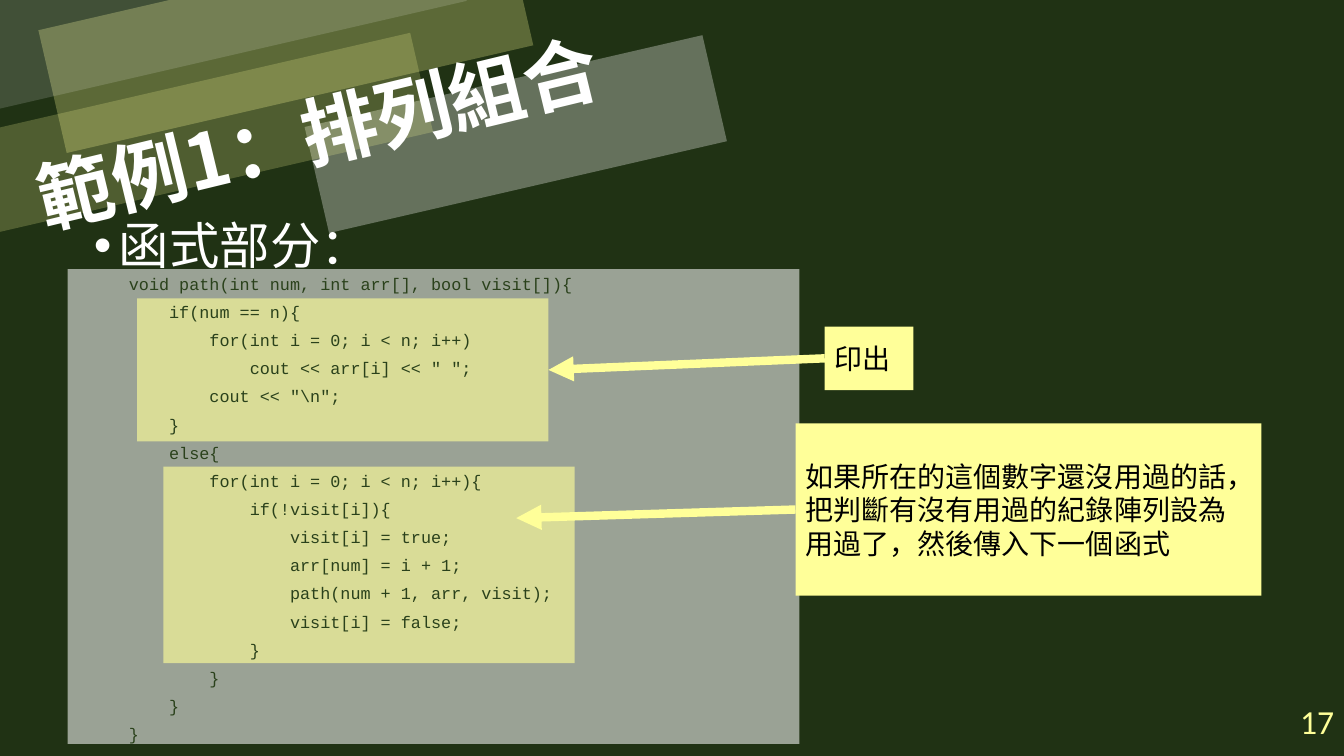
from lxml.etree import SubElement
from pptx import Presentation
from pptx.dml.color import RGBColor
from pptx.enum.shapes import MSO_CONNECTOR, MSO_SHAPE
from pptx.enum.text import MSO_ANCHOR, PP_ALIGN
from pptx.oxml.ns import qn
from pptx.util import Inches, Pt

COLORS = {
    "back": "203214",
    "white": "FFFFFF",
    "yellow": "FFFF99",
    "black": "000000",
    "code": "2A411B",
}
SANS = "Noto Sans CJK SC"
MONO = "Courier New"

BANDS = [
    ((0.46, -0.25, 4.75, 1.25), "yellow", 27),
    ((3.09, 0.79, 4.05, 1.08), "white", 31),
    ((-0.28, 0.82, 4.52, 1.01), "yellow", 21),
    ((-0.56, -0.86, 5.09, 1.46), "white", 15),
]
CODE = r"""void path(int num, int arr[], bool visit[]){
    if(num == n){
        for(int i = 0; i < n; i++)
            cout << arr[i] << " ";
        cout << "\n";
    }
    else{
        for(int i = 0; i < n; i++){
            if(!visit[i]){
                visit[i] = true;
                arr[num] = i + 1;
                path(num + 1, arr, visit);
                visit[i] = false;
            }
        }
    }
}"""
NOTE = "如果所在的這個數字還沒用過的話，把判斷有沒有用過的紀錄陣列設為用過了，然後傳入下一個函式"


def color(name):
    return RGBColor.from_string(COLORS[name])


def place(shape, box):
    shape.left, shape.top, shape.width, shape.height = map(Inches, box)


def write(shape, text, size, tint, face=SANS, bold=False, align=PP_ALIGN.LEFT,
          anchor=MSO_ANCHOR.TOP, line=None, before=None):
    frame = shape.text_frame
    frame.word_wrap = True
    frame.vertical_anchor = anchor
    frame.text = text
    for para in frame.paragraphs:
        para.alignment = align
        para.line_spacing = line
        if before is not None:
            para.space_before = Pt(before)
        font = para.font
        font.size = Pt(size)
        font.name = face
        font.bold = bold
        font.color.rgb = color(tint)
        props = para._p.pPr.find(qn("a:defRPr"))
        SubElement(props, qn("a:ea")).set("typeface", face)


def add_box(slide, box, tint, alpha=100, turn=0):
    shape = slide.shapes.add_shape(MSO_SHAPE.RECTANGLE, *map(Inches, box))
    shape.shadow.inherit = False
    shape.rotation = turn
    shape.line.fill.background()
    shape.fill.solid()
    shape.fill.fore_color.rgb = color(tint)
    if alpha < 100:
        fill = shape._element.spPr.find(qn("a:solidFill"))
        SubElement(fill[0], qn("a:alpha")).set("val", str(alpha * 1000))
    return shape


def add_label(slide, box, text):
    shape = add_box(slide, box, "yellow")
    write(shape, text, 20, "black", anchor=MSO_ANCHOR.MIDDLE)
    return shape


def add_text(slide, box, text, size, tint, face, **style):
    shape = slide.shapes.add_textbox(*map(Inches, box))
    write(shape, text, size, tint, face, **style)


def add_arrow(slide, label, end):
    link = slide.shapes.add_connector(
        MSO_CONNECTOR.STRAIGHT, 0, 0, *map(Inches, end))
    link.begin_connect(label, 1)
    link.line.width = Pt(6)
    link.line.color.rgb = color("yellow")
    props = link._element.spPr
    SubElement(props.find(qn("a:ln")), qn("a:tailEnd")).set("type", "triangle")
    SubElement(props, qn("a:effectLst"))
    return link


def add_bullet(para):
    props = para._p.get_or_add_pPr()
    props.set("marL", str(Inches(0.25)))
    props.set("indent", str(Inches(-0.25)))


def main():
    deck = Presentation()
    deck.slide_width, deck.slide_height = Inches(13.33), Inches(7.5)
    slide = deck.slides.add_slide(deck.slide_layouts[1])
    slide.background.fill.solid()
    slide.background.fill.fore_color.rgb = color("back")
    title, body = slide.placeholders
    tree = slide.shapes._spTree

    for box, tint, alpha in BANDS:
        add_box(slide, box, tint, alpha, 167)

    for holder in (title, body):
        tree.append(holder._element)
    place(title, (0.21, 0.58, 6.37, 1.45))
    title.rotation = 346.4
    write(title, "範例1：排列組合", 54, "white", bold=True,
          anchor=MSO_ANCHOR.MIDDLE, line=0.9)
    place(body, (0.83, 2.14, 5.86, 2.96))
    write(body, "函式部分：", 36, "white", line=0.9, before=10)
    add_bullet(body.text_frame.paragraphs[0])

    add_text(slide, (10.33, 6.95, 3, 0.4), "17", 24, "yellow", "Calibri",
             align=PP_ALIGN.RIGHT, anchor=MSO_ANCHOR.MIDDLE)

    add_box(slide, (0.67, 2.67, 7.26, 4.71), "white", 55)
    base = add_box(slide, (1.36, 2.96, 4.08, 1.42), "yellow", 63)
    label = add_label(slide, (8.18, 3.24, 0.88, 0.63), "印出")
    add_arrow(slide, label, (5.44, 3.67)).end_connect(base, 3)
    note = add_label(slide, (7.89, 4.2, 4.62, 1.71), NOTE)
    add_arrow(slide, note, (5.12, 5.14))
    add_box(slide, (1.62, 4.63, 4.08, 1.95), "yellow", 63)
    add_text(slide, (1.18, 2.72, 6.66, 4.78), CODE, 12, "code", MONO,
             line=0.7, before=10)

    deck.save("out.pptx")


if __name__ == "__main__":
    main()
